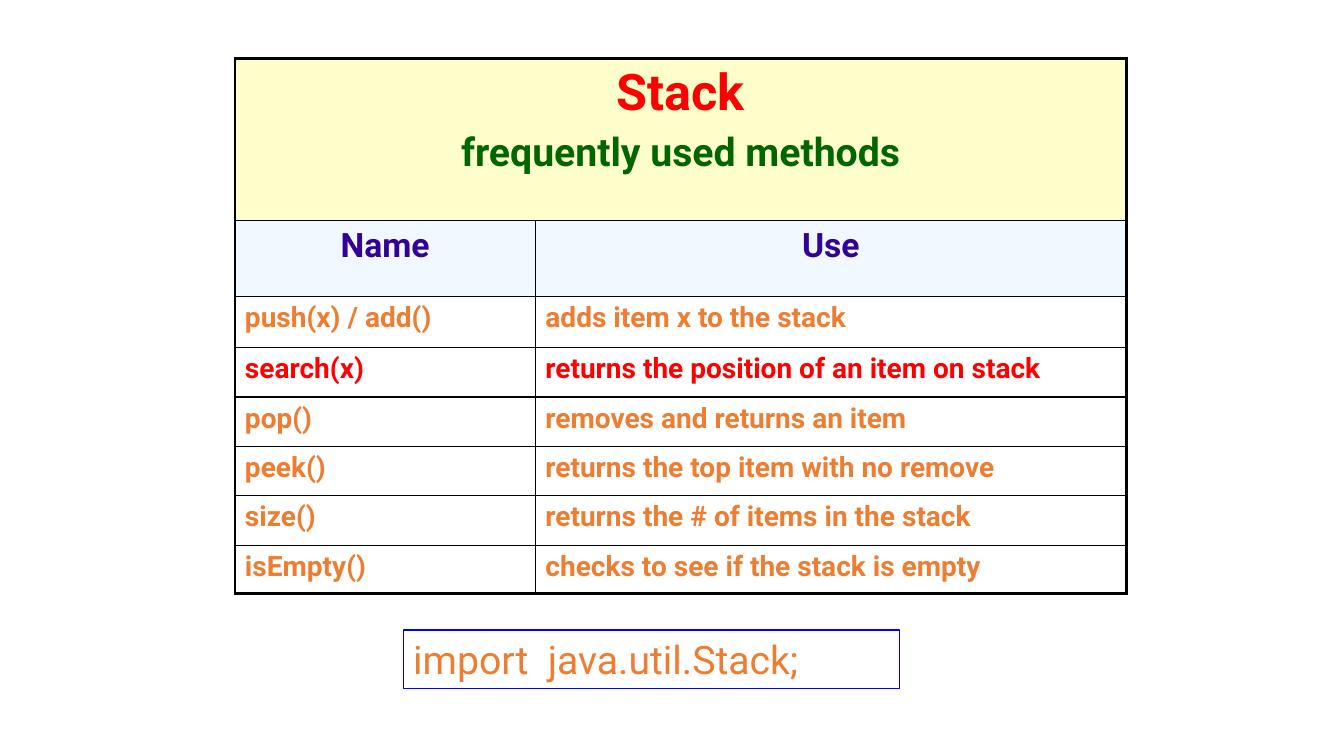
from lxml.etree import SubElement
from pptx import Presentation
from pptx.dml.color import RGBColor
from pptx.enum.shapes import MSO_SHAPE
from pptx.enum.text import MSO_ANCHOR, PP_ALIGN
from pptx.oxml import parse_xml
from pptx.oxml.ns import nsdecls, qn
from pptx.util import Inches, Pt

COLORS = {
    "black": "000000",
    "red": "FF0000",
    "green": "006600",
    "purple": "330099",
    "orange": "ED7D31",
    "blue": "0000FF",
    "cream": "FFFFCC",
    "ice": "E1F4FF",
}
FONT = "Roboto"
COLUMN_WIDTHS = [2.98, 5.86]
ROW_HEIGHTS = [1.61, 0.75, 0.51, 0.49, 0.49, 0.49, 0.49, 0.48]
METHODS = [
    ("push(x) / add()", "adds item x to the stack"),
    ("search(x)", "returns the position of an item on stack"),
    ("pop()", "removes and returns an item"),
    ("peek()", "returns the top item with no remove"),
    ("size()", "returns the # of items in the stack"),
    ("isEmpty()", "checks to see if the stack is empty"),
]
HIGHLIGHTED = "search(x)"
OUTER_LINE, INNER_LINE = 2.25, 1


def color(name):
    return RGBColor.from_string(COLORS[name])


def write(paragraph, text, size, color_name, bold=True, align=PP_ALIGN.LEFT):
    paragraph.text = text
    paragraph.alignment = align
    font = paragraph.font
    font.name, font.size, font.bold = FONT, Pt(size), bold
    font.color.rgb = color(color_name)


def fill_cell(cell, color_name=None, opacity=100):
    if color_name is None:
        cell.fill.background()
        return
    cell.fill.solid()
    cell.fill.fore_color.rgb = color(color_name)
    if opacity < 100:
        tint = cell.fill._xPr.find(".//" + qn("a:srgbClr"))
        SubElement(tint, qn("a:alpha"), val=str(opacity * 1000))


def draw_borders(table):
    last_row, last_column = len(table.rows) - 1, len(table.columns) - 1
    for row in range(last_row + 1):
        for column in range(last_column + 1):
            edges = {
                "lnL": column == 0,
                "lnR": column == last_column,
                "lnT": row == 0,
                "lnB": row == last_row,
            }
            if row == 0:
                edges["lnL"] = edges["lnR"] = True
            properties = table.cell(row, column)._tc.get_or_add_tcPr()
            for index, (edge, outer) in enumerate(edges.items()):
                width = Pt(OUTER_LINE if outer else INNER_LINE)
                properties.insert(index, parse_xml(
                    f'<a:{edge} {nsdecls("a")} w="{width}"><a:solidFill>'
                    f'<a:srgbClr val="{COLORS["black"]}"/></a:solidFill></a:{edge}>'
                ))


def add_methods_table(slide, left, top, width, height):
    frame = slide.shapes.add_table(
        len(ROW_HEIGHTS), len(COLUMN_WIDTHS),
        Inches(left), Inches(top), Inches(width), Inches(height),
    )
    table = frame.table
    table.first_row = table.horz_banding = False
    for column, column_width in zip(table.columns, COLUMN_WIDTHS):
        column.width = Inches(column_width)
    for row, row_height in zip(table.rows, ROW_HEIGHTS):
        row.height = Inches(row_height)

    heading = table.cell(0, 0)
    heading.merge(table.cell(0, 1))
    fill_cell(heading, "cream")
    text = heading.text_frame
    write(text.paragraphs[0], "Stack", 36, "red", align=PP_ALIGN.CENTER)
    subtitle = text.add_paragraph()
    write(subtitle, "frequently used methods", 28, "green", align=PP_ALIGN.CENTER)
    subtitle.space_before = Pt(5.6)

    for column, label in enumerate(("Name", "Use")):
        cell = table.cell(1, column)
        fill_cell(cell, "ice", opacity=50)
        write(cell.text_frame.paragraphs[0], label, 24, "purple", align=PP_ALIGN.CENTER)

    for row, method in enumerate(METHODS, start=2):
        color_name = "red" if method[0] == HIGHLIGHTED else "orange"
        for column, label in enumerate(method):
            cell = table.cell(row, column)
            fill_cell(cell)
            write(cell.text_frame.paragraphs[0], label, 20, color_name)
    draw_borders(table)


def add_import_box(slide, left, top, width, height):
    box = slide.shapes.add_shape(
        MSO_SHAPE.RECTANGLE, Inches(left), Inches(top), Inches(width), Inches(height)
    )
    box.shadow.inherit = False
    box.fill.background()
    box.line.color.rgb = color("blue")
    box.line.width = Pt(1)
    text = box.text_frame
    text.word_wrap = True
    text.vertical_anchor = MSO_ANCHOR.TOP
    write(text.paragraphs[0], "import  java.util.Stack;", 28, "orange", bold=False)


def main():
    deck = Presentation()
    deck.slide_width, deck.slide_height = Inches(13.33), Inches(7.5)
    slide = deck.slides.add_slide(deck.slide_layouts[6])
    add_methods_table(slide, 2.33, 0.58, sum(COLUMN_WIDTHS), sum(ROW_HEIGHTS))
    add_import_box(slide, 4, 6.25, 4.92, 0.58)
    deck.save("out.pptx")


if __name__ == "__main__":
    main()
